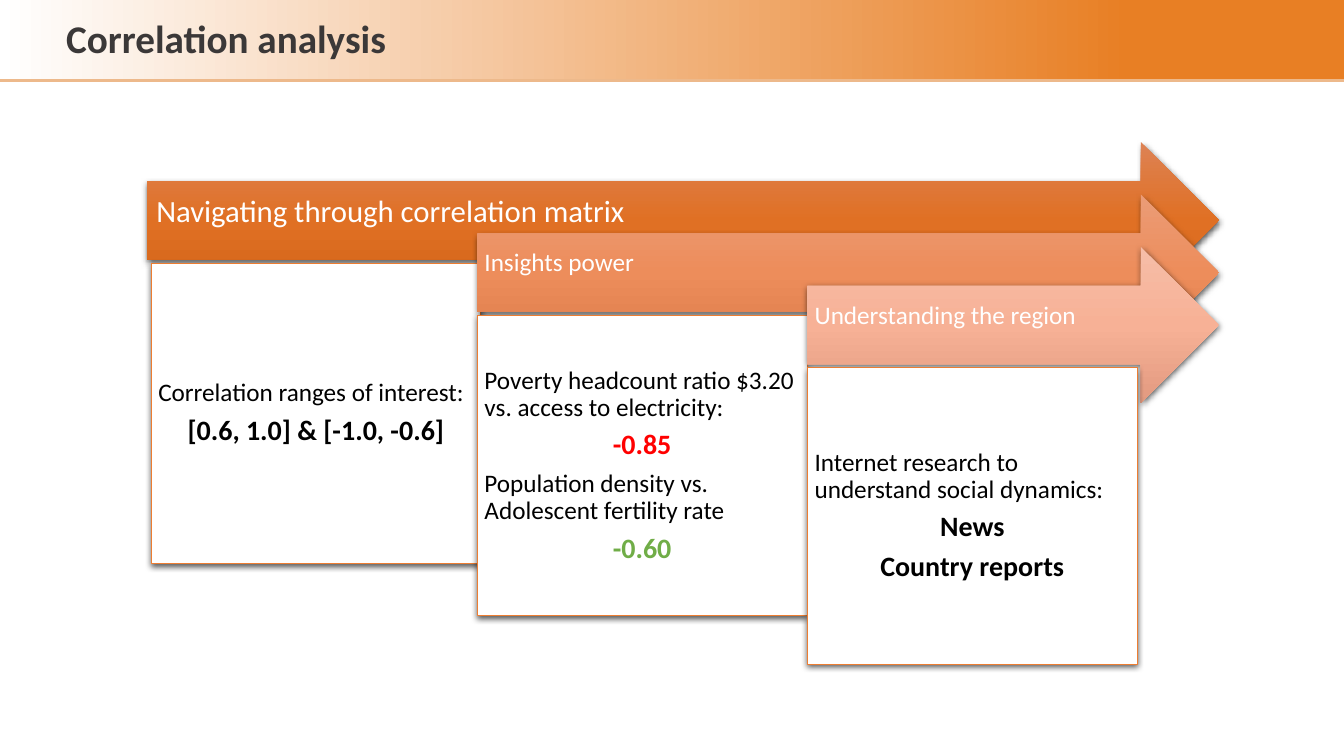
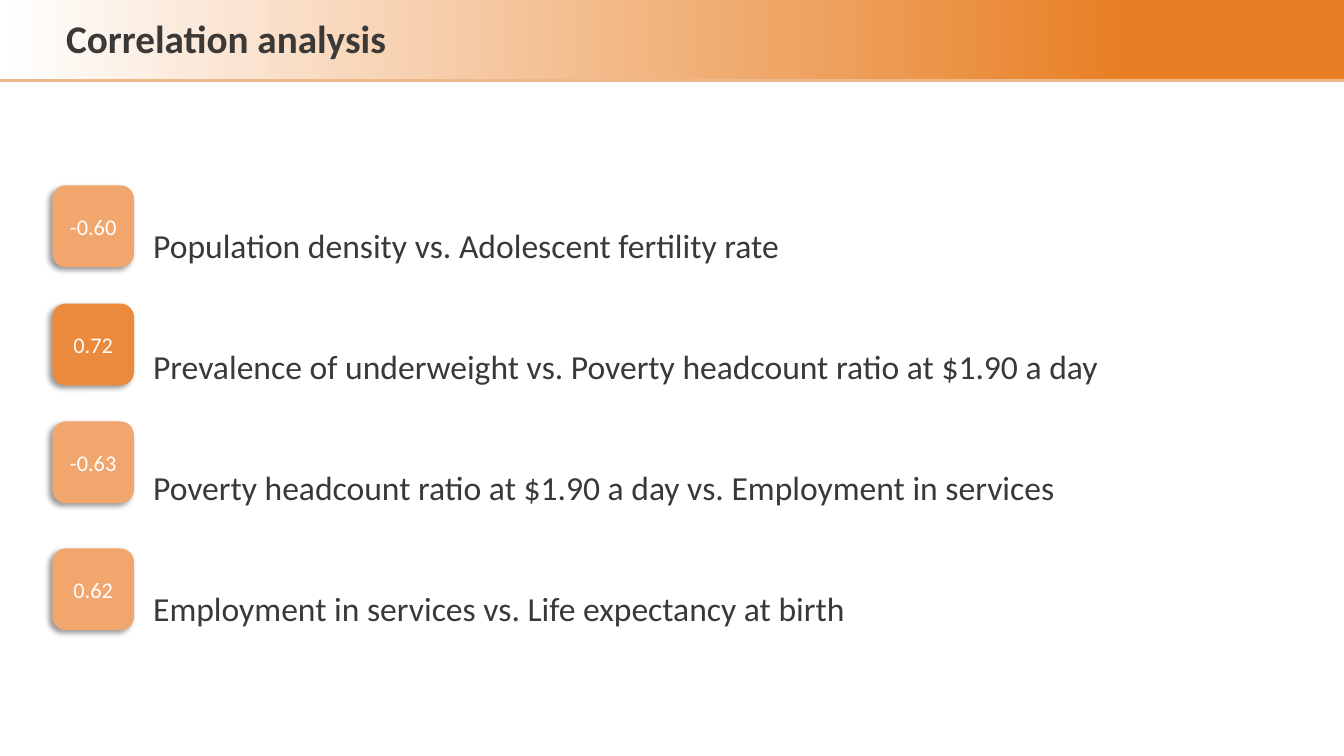
from dataclasses import dataclass

from lxml.etree import SubElement
from pptx import Presentation
from pptx.dml.color import RGBColor
from pptx.enum.shapes import MSO_CONNECTOR, MSO_SHAPE
from pptx.enum.text import MSO_ANCHOR, MSO_AUTO_SIZE, PP_ALIGN
from pptx.oxml.ns import qn
from pptx.util import Cm, Pt

FONT = "Calibri"
WHITE, BLACK, DARK = "FFFFFF", "000000", "3B3838"
ORANGE, RULE, CARD_LINE = "E87F24", "EDB98B", "ED7D31"
RED, GREEN = "FF0000", "70AD47"
LIGHT_BADGE, STRONG_BADGE = "F1A66E", "EB893C"
SLIDE_WIDTH, SLIDE_HEIGHT = 33.87, 19.05
BAND_HEIGHT = 2.03

ARROW_LEFT, ARROW_TOP, ARROW_RIGHT, ARROW_HEIGHT = 3.71, 3.58, 30.72, 3.94
STEP_X, STEP_Y = 8.32, 1.32
CARD_DROP, CARD_WIDTH = 3.05, 8.31
BADGE_LEFT, BADGE_SIZE = 1.32, 2.06


@dataclass(frozen=True)
class Line:
    text: str
    size: float = 18
    color: str = BLACK
    bold: bool = False
    centered: bool = False
    line_spacing: float = 0.9
    after: float = 0.35


@dataclass(frozen=True)
class Shadow:
    opacity: int
    blur: float
    distance: float
    angle: int


@dataclass(frozen=True)
class Stage:
    heading: Line
    gradient: tuple[str, str, str]
    lines: tuple[Line, ...]
    inset: float = 0.18
    card_shift: float = 0
    card_height: float = 7.57


@dataclass(frozen=True)
class Finding:
    value: str
    text: str
    top: float
    color: str = LIGHT_BADGE


STAGE_SHADOW = Shadow(63, 4.5, 1.5, 90)
BADGE_SHADOW = Shadow(40, 4, 3, 135)


def key_line(text: str, color: str = BLACK) -> Line:
    return Line(text, 20, color, bold=True, centered=True)


STAGES = (
    Stage(
        Line("Navigating through correlation matrix", 22, WHITE),
        ("DD8254", "E07024", "D06216"),
        (Line("Correlation ranges of interest:"), key_line("[0.6, 1.0] & [-1.0, -0.6]")),
        inset=0.23,
        card_shift=0.1,
    ),
    Stage(
        Line("Insights power", color=WHITE),
        ("EB9C77", "ED8D5B", "DB7A49"),
        (
            Line("Poverty headcount ratio $3.20 vs. access to electricity:"),
            key_line("-0.85", RED),
            Line("Population density vs. Adolescent fertility rate"),
            key_line("-0.60", GREEN),
        ),
    ),
    Stage(
        Line("Understanding the region", color=WHITE),
        ("F6BDA8", "F7B196", "E29A80"),
        (
            Line("Internet research to understand social dynamics:"),
            key_line("News"),
            key_line("Country reports"),
        ),
        card_height=7.47,
    ),
)

FINDINGS = (
    Finding("-0.60", "Population density vs. Adolescent fertility rate", 4.67),
    Finding(
        "0.72",
        "Prevalence of underweight vs. Poverty headcount ratio at $1.90 a day",
        7.65,
        STRONG_BADGE,
    ),
    Finding("-0.63", "Poverty headcount ratio at $1.90 a day vs. Employment in services", 10.62),
    Finding("0.62", "Employment in services vs. Life expectancy at birth", 13.82),
)


def rgb(color: str) -> RGBColor:
    return RGBColor.from_string(color)


def add_block(page, kind, left: float, top: float, width: float, height: float):
    shape = page.shapes.add_shape(kind, Cm(left), Cm(top), Cm(width), Cm(height))
    shape.shadow.inherit = False
    shape.line.fill.background()
    return shape


def fill_solid(shape, color: str) -> None:
    shape.fill.solid()
    shape.fill.fore_color.rgb = rgb(color)


def fill_gradient(shape, stops, angle: int) -> None:
    shape.fill.gradient()
    shape.fill.gradient_angle = angle
    stop_list = shape.element.spPr.find(qn("a:gradFill")).find(qn("a:gsLst"))
    for stop in list(stop_list):
        stop_list.remove(stop)
    for position, color in stops:
        stop = SubElement(stop_list, qn("a:gs"), pos=str(position * 1000))
        SubElement(stop, qn("a:srgbClr"), val=color)


def add_shadow(shape, shadow: Shadow) -> None:
    effects = shape.element.spPr.find(qn("a:effectLst"))
    outer = SubElement(
        effects,
        qn("a:outerShdw"),
        blurRad=str(Pt(shadow.blur)),
        dist=str(Pt(shadow.distance)),
        dir=str(shadow.angle * 60000),
        algn="ctr",
        rotWithShape="0",
    )
    color = SubElement(outer, qn("a:srgbClr"), val=BLACK)
    SubElement(color, qn("a:alpha"), val=str(shadow.opacity * 1000))


def set_insets(frame, left: float, top: float, right: float, bottom: float) -> None:
    frame.margin_left, frame.margin_top = Cm(left), Cm(top)
    frame.margin_right, frame.margin_bottom = Cm(right), Cm(bottom)


def write_lines(frame, lines) -> None:
    for index, line in enumerate(lines):
        paragraph = frame.add_paragraph() if index else frame.paragraphs[0]
        paragraph.alignment = PP_ALIGN.CENTER if line.centered else PP_ALIGN.LEFT
        paragraph.line_spacing = line.line_spacing
        paragraph.space_after = Pt(round(line.size * line.after, 1))
        span = paragraph.add_run()
        span.text = line.text
        span.font.name = FONT
        span.font.size = Pt(line.size)
        span.font.bold = line.bold
        span.font.color.rgb = rgb(line.color)


def add_text(page, left: float, top: float, width: float, height: float, lines, wrap: bool) -> None:
    box = page.shapes.add_textbox(Cm(left), Cm(top), Cm(width), Cm(height))
    box.text_frame.word_wrap = wrap
    box.text_frame.auto_size = MSO_AUTO_SIZE.SHAPE_TO_FIT_TEXT
    write_lines(box.text_frame, lines)


def put_band_on_layout(layout, page) -> None:
    for placeholder in list(layout.placeholders):
        layout.shapes.element.remove(placeholder.element)
    band = add_block(page, MSO_SHAPE.RECTANGLE, 0, 0, SLIDE_WIDTH, BAND_HEIGHT)
    fill_gradient(band, ((0, WHITE), (84, ORANGE), (100, ORANGE)), 0)
    rule = page.shapes.add_connector(
        MSO_CONNECTOR.STRAIGHT, 0, Cm(BAND_HEIGHT), Cm(SLIDE_WIDTH), Cm(BAND_HEIGHT)
    )
    rule.line.color.rgb = rgb(RULE)
    rule.line.width = Pt(2.25)
    SubElement(rule.element.spPr, qn("a:effectLst"))
    for part in (band, rule):
        layout.shapes.element.append(part.element)


def add_title(page, text: str) -> None:
    title = Line(text, 28, DARK, bold=True, line_spacing=1.0, after=0)
    add_text(page, 1.42, 0.23, 8.66, 1.45, (title,), wrap=False)


def draw_stage(page, stage: Stage, index: int) -> None:
    left = ARROW_LEFT + index * STEP_X
    top = ARROW_TOP + index * STEP_Y
    arrow = add_block(page, MSO_SHAPE.RIGHT_ARROW, left, top, ARROW_RIGHT - left, ARROW_HEIGHT)
    fill_gradient(arrow, zip((0, 50, 100), stage.gradient), 270)
    set_insets(arrow.text_frame, stage.inset, stage.inset, 0.71, 0.64)
    card = add_block(
        page,
        MSO_SHAPE.RECTANGLE,
        left + stage.card_shift,
        top + CARD_DROP,
        CARD_WIDTH,
        stage.card_height,
    )
    fill_solid(card, WHITE)
    card.line.color.rgb = rgb(CARD_LINE)
    card.line.width = Pt(0.5)
    set_insets(card.text_frame, 0.18, 0.18, 0.18, 0.18)
    for shape, lines in ((arrow, (stage.heading,)), (card, stage.lines)):
        add_shadow(shape, STAGE_SHADOW)
        shape.text_frame.word_wrap = True
        shape.text_frame.vertical_anchor = MSO_ANCHOR.MIDDLE
        write_lines(shape.text_frame, lines)


def draw_badge(page, finding: Finding) -> None:
    badge = add_block(
        page, MSO_SHAPE.ROUNDED_RECTANGLE, BADGE_LEFT, finding.top, BADGE_SIZE, BADGE_SIZE
    )
    fill_solid(badge, finding.color)
    add_shadow(badge, BADGE_SHADOW)
    badge.text_frame.vertical_anchor = MSO_ANCHOR.MIDDLE
    value = Line(finding.value, 16, WHITE, centered=True, line_spacing=1.0, after=0)
    write_lines(badge.text_frame, (value,))


def main() -> None:
    deck = Presentation()
    deck.slide_width, deck.slide_height = Cm(SLIDE_WIDTH), Cm(SLIDE_HEIGHT)
    blank = deck.slide_layouts[6]
    stages_page, findings_page = (deck.slides.add_slide(blank) for _ in range(2))
    put_band_on_layout(blank, stages_page)
    for page in (stages_page, findings_page):
        add_title(page, "Correlation analysis")

    for index, stage in enumerate(STAGES):
        draw_stage(stages_page, stage, index)

    pairs = [Line(finding.text, 24, DARK, line_spacing=3.0, after=0) for finding in FINDINGS]
    add_text(findings_page, 3.61, 3.51, 29.36, 12.01, pairs, wrap=True)
    for finding in FINDINGS:
        draw_badge(findings_page, finding)

    deck.save("out.pptx")


if __name__ == "__main__":
    main()
